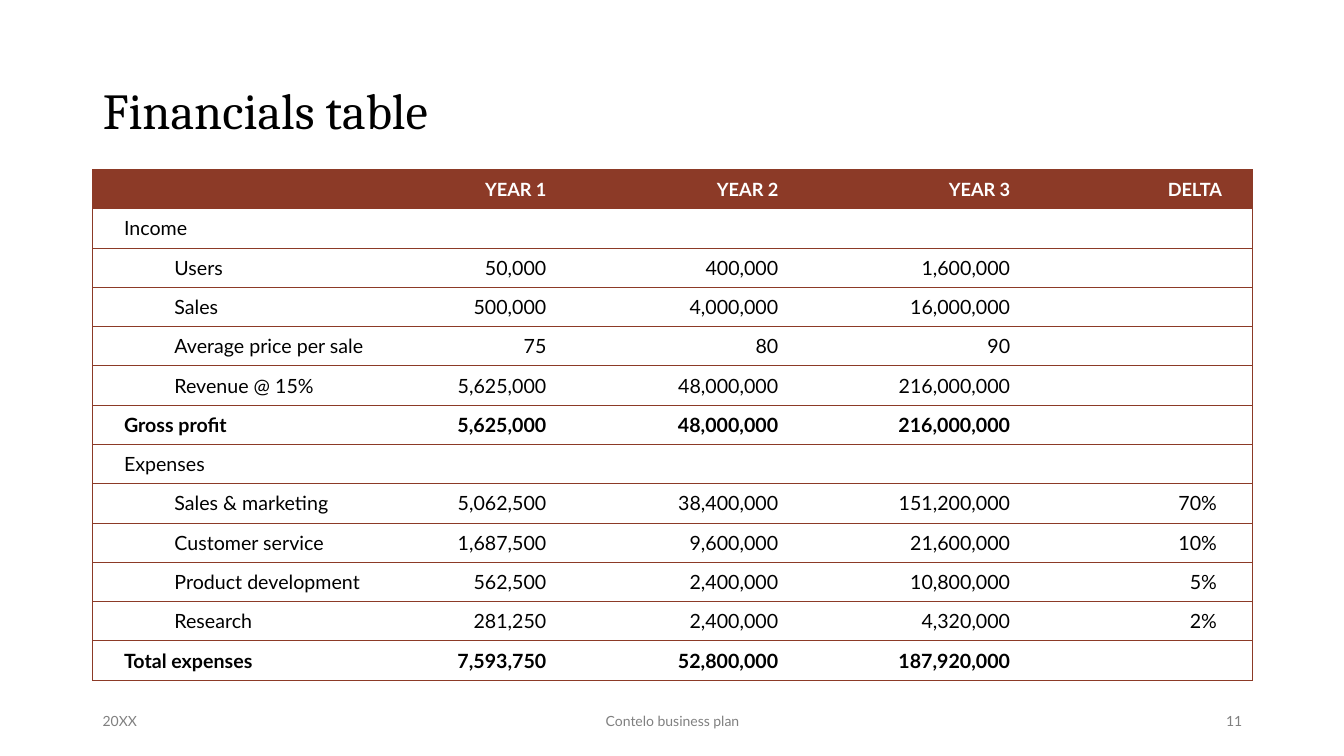
from lxml import etree
from pptx import Presentation
from pptx import util as u
from pptx.dml.color import RGBColor
from pptx.enum import text
from pptx.oxml.ns import qn

RUST = RGBColor(0x8C, 0x3A, 0x27)
WHITE = RGBColor(0xFF, 0xFF, 0xFF)
BLACK = RGBColor(0, 0, 0)
GRAY = RGBColor(0x80, 0x80, 0x80)
LEFT, CENTER, RIGHT = text.PP_ALIGN.LEFT, text.PP_ALIGN.CENTER, text.PP_ALIGN.RIGHT

MARGIN, WIDTH = 0.92, 11.5
COLUMN_SHARES = [0.26, 0.14, 0.2, 0.2, 0.2]
HEADER = ["", "YEAR 1", "YEAR 2", "YEAR 3", "DELTA"]
SECTIONS = {"Income", "Expenses"}
TOTALS = {"Gross profit", "Total expenses"}
ROWS = [
    ["Income"],
    ["Users", "50,000", "400,000", "1,600,000"],
    ["Sales", "500,000", "4,000,000", "16,000,000"],
    ["Average price per sale", "75", "80", "90"],
    ["Revenue @ 15%", "5,625,000", "48,000,000", "216,000,000"],
    ["Gross profit", "5,625,000", "48,000,000", "216,000,000"],
    ["Expenses"],
    ["Sales & marketing", "5,062,500", "38,400,000", "151,200,000", "70%"],
    ["Customer service", "1,687,500", "9,600,000", "21,600,000", "10%"],
    ["Product development", "562,500", "2,400,000", "10,800,000", "5%"],
    ["Research", "281,250", "2,400,000", "4,320,000", "2%"],
    ["Total expenses", "7,593,750", "52,800,000", "187,920,000"],
]


def write(p, words, align, color, **font):
    p.alignment = align
    r = p.add_run()
    r.text = words
    for name, value in font.items():
        setattr(r.font, name, value)
    r.font.color.rgb = color


def add_title(s, x, y, w, h):
    sp = s.shapes.title
    sp.left, sp.top, sp.width, sp.height = map(u.Inches, (x, y, w, h))
    tf = sp.text_frame
    tf.auto_size = text.MSO_AUTO_SIZE.NONE
    tf.vertical_anchor = text.MSO_ANCHOR.MIDDLE
    p = tf.paragraphs[0]
    p.line_spacing = 0.9
    write(p, "Financials table", LEFT, BLACK, size=u.Pt(36), name="Cambria")


def add_borders(cell, sides):
    tcPr = cell._tc.get_or_add_tcPr()
    for side in "LRTB":
        ln = etree.SubElement(tcPr, qn(f"a:ln{side}"), w=str(u.Pt(0.5)))
        if side in sides:
            fill = etree.SubElement(ln, qn("a:solidFill"))
            etree.SubElement(fill, qn("a:srgbClr"), val=str(RUST))
        else:
            etree.SubElement(ln, qn("a:noFill"))


def fill_cell(cell, words, col, is_header, label):
    last = len(HEADER) - 1
    add_borders(cell, "TB" + "L" * (col == 0) + "R" * (col == last))
    cell.fill.solid()
    cell.fill.fore_color.rgb = RUST if is_header else WHITE
    cell.vertical_anchor = text.MSO_ANCHOR.MIDDLE
    if col == 0:
        cell.margin_left = u.Inches(0.31)
    if col == last:
        cell.margin_right = u.Inches(0.3 if is_header else 0.35)
    p = cell.text_frame.paragraphs[0]
    size = u.Pt(13 if is_header else 14)
    if not words:
        etree.SubElement(p._p, qn("a:endParaRPr"), sz=str(int(size.pt * 100)))
        return
    if col == 0 and label not in SECTIONS | TOTALS:
        p.level = 1
        p._p.get_or_add_pPr().set("marL", str(u.Inches(0.5)))
    write(p, words, RIGHT if col else LEFT, WHITE if is_header else BLACK,
          size=size, name="Lato", bold=is_header or label in TOTALS)


def add_financials(s, x, y, w, h):
    rows = [HEADER] + ROWS
    table = s.shapes.add_table(len(rows), len(HEADER), *map(u.Inches, (x, y, w, h))).table
    table.horz_banding = False
    for column, share in zip(table.columns, COLUMN_SHARES):
        column.width = u.Inches(w * share)
    for i, row in enumerate(rows):
        table.rows[i].height = u.Inches(h / len(rows))
        for col in range(len(HEADER)):
            words = row[col] if col < len(row) else ""
            fill_cell(table.cell(i, col), words, col, i == 0, row[0])


def add_footer(s, x, y, w, h):
    parts = [
        ("20XX", LEFT, x, 3),
        ("Contelo business plan", CENTER, x + (w - 4.5) / 2, 4.5),
        ("11", RIGHT, x + w - 3, 3),
    ]
    for words, align, left, width in parts:
        tf = s.shapes.add_textbox(*map(u.Inches, (left, y, width, h))).text_frame
        tf.word_wrap = True
        tf.vertical_anchor = text.MSO_ANCHOR.MIDDLE
        write(tf.paragraphs[0], words, align, GRAY, size=u.Pt(10), name="Lato")


def main():
    prs = Presentation()
    prs.slide_width, prs.slide_height = u.Inches(13.33), u.Inches(7.5)
    s = prs.slides.add_slide(prs.slide_layouts[5])
    add_title(s, MARGIN, 0.77, WIDTH, 0.7)
    add_financials(s, MARGIN, 1.68, WIDTH, 5.07)
    add_footer(s, MARGIN, 6.95, WIDTH, 0.4)
    prs.save("out.pptx")


if __name__ == "__main__":
    main()
